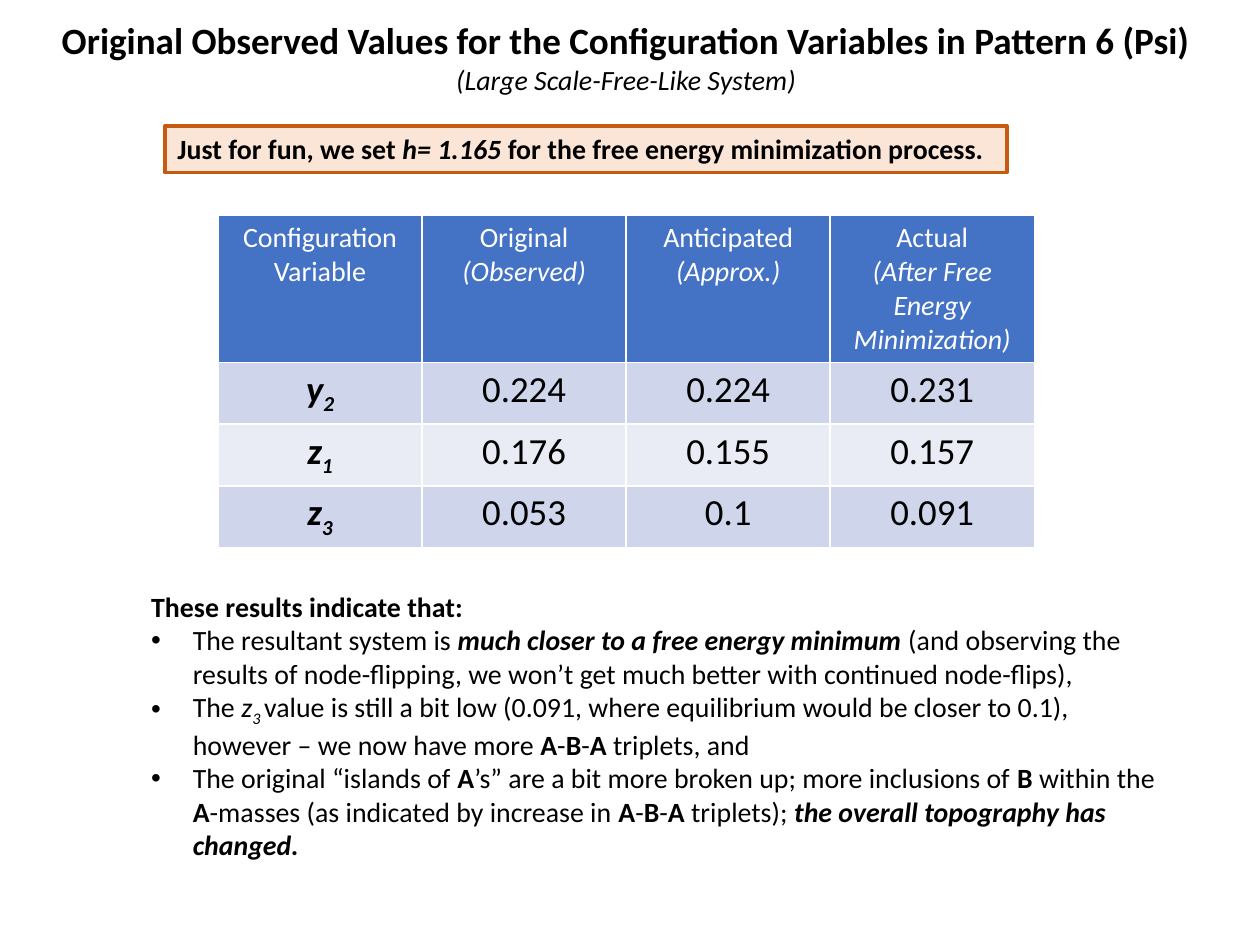
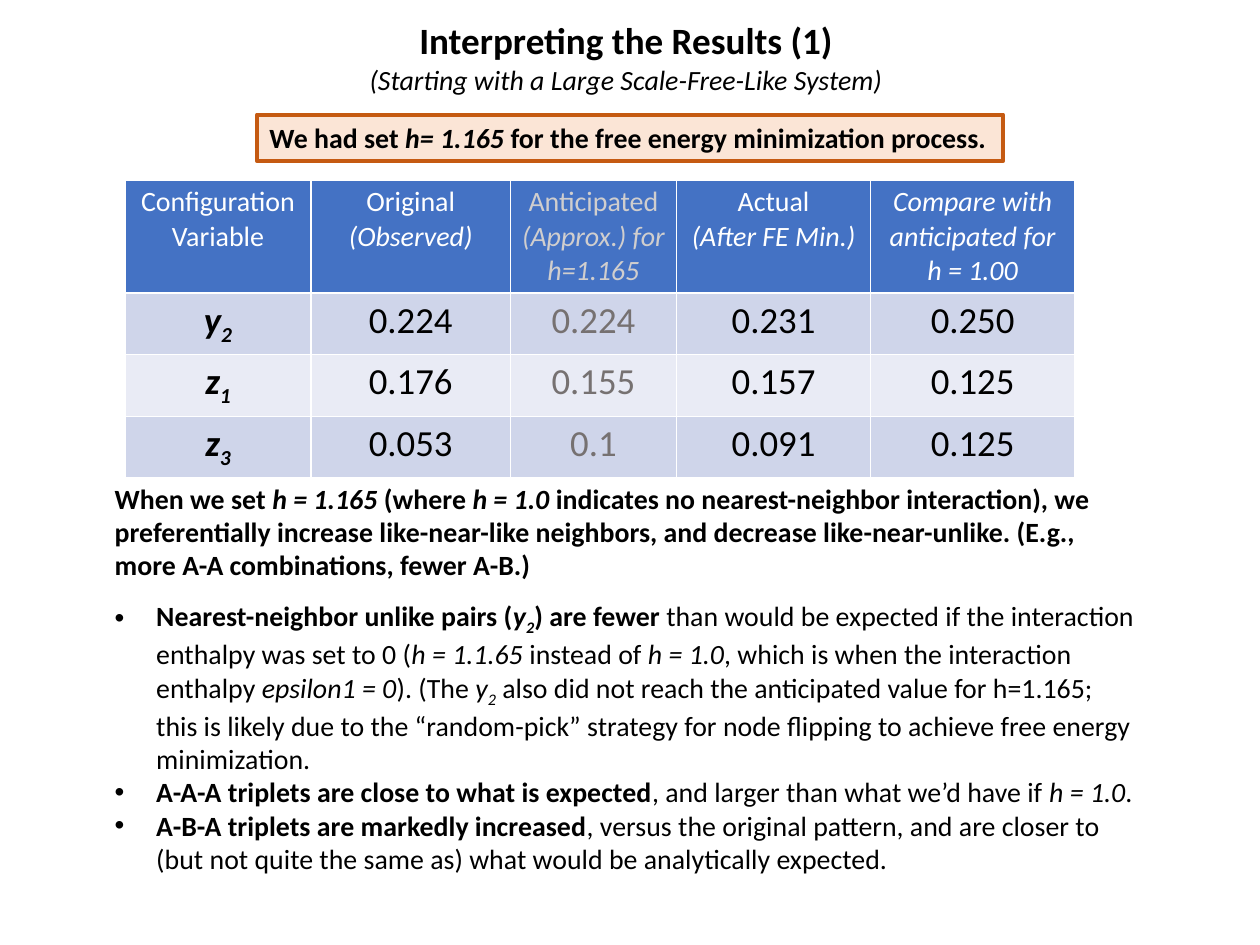
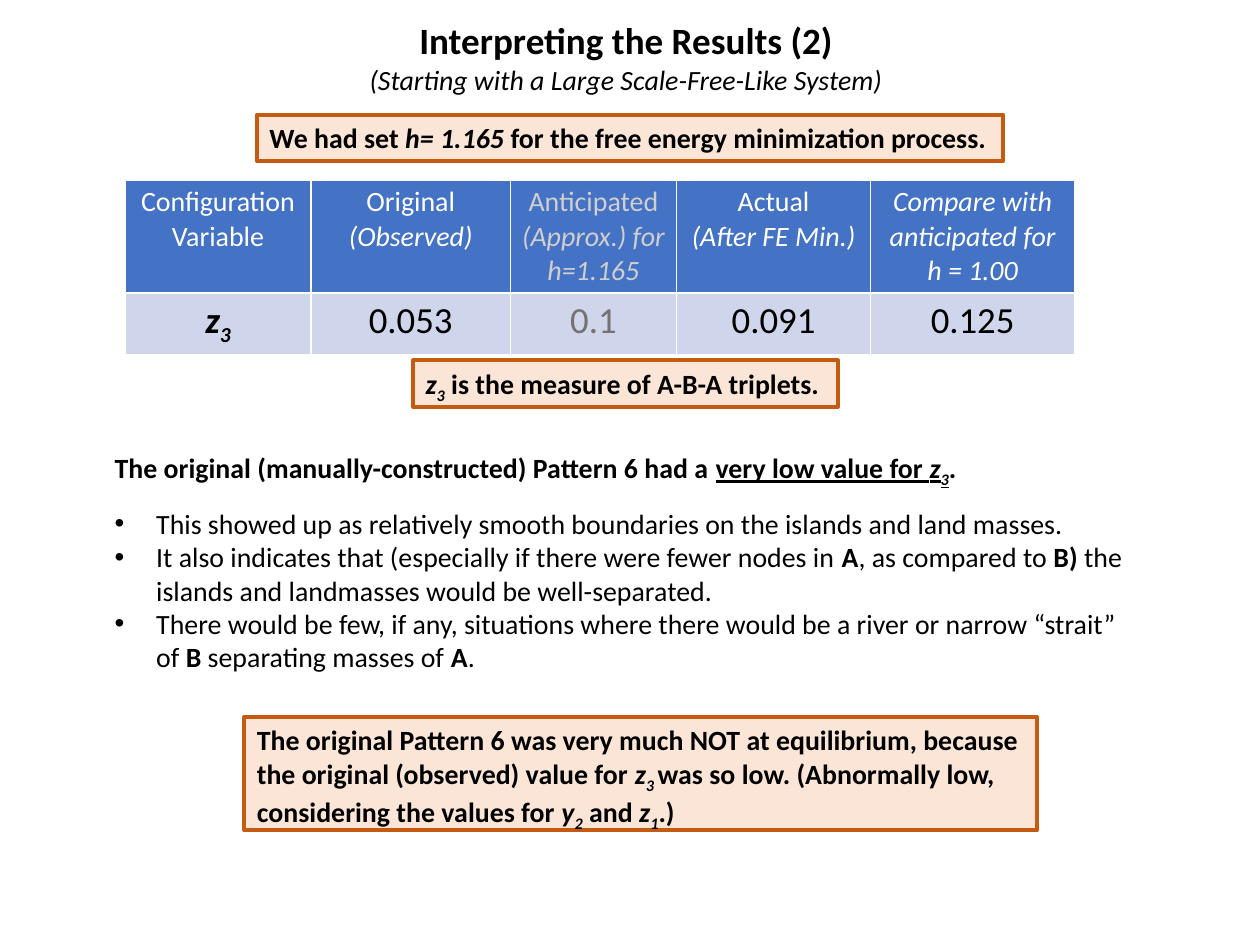
from lxml import etree
from pptx import Presentation
from pptx.dml.color import RGBColor
from pptx.enum.shapes import MSO_SHAPE
from pptx.enum.text import MSO_ANCHOR, MSO_AUTO_SIZE, PP_ALIGN
from pptx.oxml.ns import qn
from pptx.util import Inches, Pt

BLACK = RGBColor(0x00, 0x00, 0x00)
WHITE = RGBColor(0xFF, 0xFF, 0xFF)
PEACH = RGBColor(0xFB, 0xE5, 0xD6)
RUST = RGBColor(0xC5, 0x5A, 0x11)
HEADER_BLUE = RGBColor(0x44, 0x72, 0xC4)
BAND_DARK = RGBColor(0xCF, 0xD5, 0xEA)
BAND_LIGHT = RGBColor(0xE9, 0xEB, 0xF5)
MUTED_HEADER = RGBColor(0xD0, 0xCE, 0xCE)
MUTED_VALUE = RGBColor(0x76, 0x71, 0x71)

FONT = "Calibri"
TITLE_SIZE, TEXT_SIZE = 21.2, 15.9
HEADER_SIZE, VALUE_SIZE = 16, 21
HANGING = Inches(0.33)
VALUE_ROW = 0.49

# Marks that switch a style on and off inside a text
BOLD, ITALIC, UNDERLINE, SUBSCRIPT = "*", "/", "_", "~"
MARKS = BOLD + ITALIC + UNDERLINE + SUBSCRIPT

VARIABLES = {"y2": "*/y~2~/*", "z1": "*/z~1~/*", "z3": "*/z~3~/*"}
OBSERVED_HEADERS = ["Configuration Variable", "Original /(Observed)/",
                    "Anticipated /(Approx.)/",
                    "Actual\n/(After Free Energy Minimization)/"]
COMPARED_HEADERS = ["Configuration Variable", "Original /(Observed)/",
                    "Anticipated /(Approx.) for h=1.165/",
                    "Actual\n/(After FE Min.)/",
                    "/Compare with anticipated for h = 1.00/"]
OBSERVED_ROWS = [("y2", "0.224", "0.224", "0.231"),
                 ("z1", "0.176", "0.155", "0.157"),
                 ("z3", "0.053", "0.1", "0.091")]
COMPARED_ROWS = [row + (value,) for row, value
                 in zip(OBSERVED_ROWS, ("0.250", "0.125", "0.125"))]
OBSERVED_WIDTHS = [1.62] * 4
COMPARED_WIDTHS = [1.48, 1.58, 1.32, 1.54, 1.62]
ANTICIPATED = 2


def split_styles(marked):
    """Return (text, active marks) pairs for a marked text."""
    pieces, active, text = [], set(), ""
    for letter in marked:
        if letter not in MARKS:
            text += letter
            continue
        if text:
            pieces.append((text, set(active)))
        text = ""
        active ^= {letter}
    if text:
        pieces.append((text, active))
    return pieces


def write_paragraph(para, marked, size, color=BLACK, align=PP_ALIGN.LEFT):
    para.alignment = align
    para.space_before = para.space_after = Pt(0)
    for text, marks in split_styles(marked):
        span = para.add_run()
        span.text = text
        font = span.font
        font.name, font.size = FONT, Pt(size)
        font.color.rgb = color
        font.bold = BOLD in marks
        font.italic = ITALIC in marks
        font.underline = UNDERLINE in marks
        if SUBSCRIPT in marks:
            font._element.set("baseline", "-25000")


def place(box, left, top, width, height):
    box.left, box.top = Inches(left), Inches(top)
    box.width, box.height = Inches(width), Inches(height)


def prepare_frame(frame):
    frame.auto_size = MSO_AUTO_SIZE.NONE
    frame.vertical_anchor = MSO_ANCHOR.TOP
    frame.word_wrap = True


def set_bullet(para, bulleted):
    properties = para._p.get_or_add_pPr()
    indent = HANGING if bulleted else 0
    properties.set("marL", str(indent))
    properties.set("indent", str(-indent))
    if bulleted:
        etree.SubElement(properties, qn("a:buFont")).set("typeface", "Arial")
        etree.SubElement(properties, qn("a:buChar")).set("char", "•")
    else:
        etree.SubElement(properties, qn("a:buNone"))


def add_page(deck, title, subtitle):
    page = deck.slides.add_slide(deck.slide_layouts[1])
    box = page.shapes.title
    place(box, 0.28, 0.09, 9.38, 0.72)
    frame = box.text_frame
    prepare_frame(frame)
    write_paragraph(frame.paragraphs[0], f"*{title}*", TITLE_SIZE,
                    align=PP_ALIGN.CENTER)
    write_paragraph(frame.add_paragraph(), f"/{subtitle}/", TEXT_SIZE,
                    align=PP_ALIGN.CENTER)
    return page


def add_callout(page, marked, left, top, width, height=0.37):
    box = page.shapes.add_shape(MSO_SHAPE.RECTANGLE, Inches(left), Inches(top),
                                Inches(width), Inches(height))
    box.shadow.inherit = False
    box.fill.solid()
    box.fill.fore_color.rgb = PEACH
    box.line.color.rgb = RUST
    box.line.width = Pt(2.25)
    prepare_frame(box.text_frame)
    write_paragraph(box.text_frame.paragraphs[0], marked, TEXT_SIZE)


def add_findings(page, heading, bullets, left, top, height, gap=0):
    """Fill the body placeholder with a heading and a bulleted list."""
    body = page.placeholders[1]
    place(body, left, top, 8.31, height)
    frame = body.text_frame
    prepare_frame(frame)
    first = frame.paragraphs[0]
    write_paragraph(first, heading, TEXT_SIZE)
    first.space_after = Pt(gap)
    set_bullet(first, False)
    for bullet in bullets:
        para = frame.add_paragraph()
        write_paragraph(para, bullet, TEXT_SIZE)
        set_bullet(para, True)


def fill_cell(cell, marked, size, color, fill):
    cell.fill.solid()
    cell.fill.fore_color.rgb = fill
    cell.margin_left = cell.margin_right = Inches(0.09)
    cell.margin_top = cell.margin_bottom = Inches(0.04)
    frame = cell.text_frame
    for index, line in enumerate(marked.split("\n")):
        para = frame.add_paragraph() if index else frame.paragraphs[0]
        write_paragraph(para, line, size, color, PP_ALIGN.CENTER)


def add_values_table(page, headers, rows, widths, left, top, header_height,
                     muted=None):
    """Add the table; the column with index muted is written in grey."""
    heights = [header_height] + [VALUE_ROW] * len(rows)
    table = page.shapes.add_table(
        len(heights), len(widths), Inches(left), Inches(top),
        Inches(sum(widths)), Inches(sum(heights))).table
    for column, width in zip(table.columns, widths):
        column.width = Inches(width)
    for row, height in zip(table.rows, heights):
        row.height = Inches(height)
    for column, header in enumerate(headers):
        color = MUTED_HEADER if column == muted else WHITE
        fill_cell(table.cell(0, column), header, HEADER_SIZE, color, HEADER_BLUE)
    for number, values in enumerate(rows, start=1):
        band = BAND_DARK if number % 2 else BAND_LIGHT
        for column, value in enumerate(values):
            color = MUTED_VALUE if column == muted else BLACK
            fill_cell(table.cell(number, column), VARIABLES.get(value, value),
                      VALUE_SIZE, color, band)


def add_interpretation_page(deck, number, rows):
    page = add_page(deck, f"Interpreting the Results ({number})",
                    "(Starting with a Large Scale-Free-Like System)")
    add_callout(page, "*We had set /h= 1.165 /for the free energy "
                "minimization process.*", 2.04, 0.91, 5.92)
    add_values_table(page, COMPARED_HEADERS, rows, COMPARED_WIDTHS,
                     0.99, 1.43, 0.88, muted=ANTICIPATED)
    return page


def add_observed_values(deck):
    page = add_page(
        deck, "Original Observed Values for the Configuration Variables "
        "in Pattern 6 (Psi)", "(Large Scale-Free-Like System)")
    add_callout(page, "*Just for fun, we set /h= 1.165 /for the free energy "
                "minimization process.*", 1.31, 1, 6.68)
    add_values_table(page, OBSERVED_HEADERS, OBSERVED_ROWS, OBSERVED_WIDTHS,
                     1.73, 1.71, 1.15)
    add_findings(page, "*These results indicate that:*", [
        "The resultant system is */much closer to a free energy minimum /*"
        "(and observing the results of node-flipping, we won’t get much "
        "better with continued node-flips),",
        "The /z~3 ~/value is still a bit low (0.091, where equilibrium would "
        "be closer to 0.1), however – we now have more *A*-*B*-*A* triplets, "
        "and",
        "The original “islands of *A*’s” are a bit more broken up; more "
        "inclusions of *B* within the *A*-masses (as indicated by increase "
        "in *A*-*B*-*A* triplets); */the overall topography has changed./*",
    ], 1.1, 4.63, 2.24)


def add_neighbor_results(deck):
    page = add_interpretation_page(deck, 1, COMPARED_ROWS)
    add_findings(
        page, "*When we set /h = 1.165 /(where /h = 1.0 /indicates no "
        "nearest-neighbor interaction), we preferentially increase "
        "like-near-like neighbors, and decrease like-near-unlike. (E.g., "
        "more A-A combinations, fewer A-B.)*", [
            "*Nearest-neighbor unlike pairs (/y~2~/) are fewer *than would be "
            "expected if the interaction enthalpy was set to 0 (/h = 1.1.65 "
            "/instead of /h = 1.0/, which is when the interaction enthalpy "
            "/epsilon1 = 0/). (The /y~2~/ also did not reach the anticipated "
            "value for h=1.165; this is likely due to the “random-pick” "
            "strategy for node flipping to achieve free energy minimization.",
            "*A-A-A triplets are close to what is expected*, and larger than "
            "what we’d have if /h = 1.0/.",
            "*A-B-A triplets are markedly increased*, versus the original "
            "pattern, and are closer to (but not quite the same as) what "
            "would be analytically expected.",
        ], 0.81, 3.77, 3.18, gap=10)


def add_triplet_results(deck):
    page = add_interpretation_page(deck, 2, COMPARED_ROWS[-1:])
    add_callout(page, "*/z~3~/ is the measure of A-B-A triplets.*",
                3.28, 2.86, 3.37)
    add_findings(
        page, "*The original (manually-constructed) Pattern 6 had a "
        "_very low value for /z~3~/_.*", [
            "This showed up as relatively smooth boundaries on the islands "
            "and land masses.",
            "It also indicates that (especially if there were fewer nodes in "
            "*A*, as compared to *B)* the islands and landmasses would be "
            "well-separated.",
            "There would be few, if any, situations where there would be a "
            "river or narrow “strait” of *B* separating masses of *A*.",
        ], 0.81, 3.53, 1.84, gap=10)
    add_callout(page, "*The original Pattern 6 was very much NOT at "
                "equilibrium, because the original (observed) value for "
                "/z~3 ~/was so low. (Abnormally low, considering the values "
                "for /y~2~/ and /z~1~/.)*", 1.94, 5.69, 6.29, 0.9)


def main():
    deck = Presentation()
    deck.slide_width, deck.slide_height = Inches(10), Inches(7.5)
    add_observed_values(deck)
    add_neighbor_results(deck)
    add_triplet_results(deck)
    deck.save("out.pptx")


if __name__ == "__main__":
    main()
